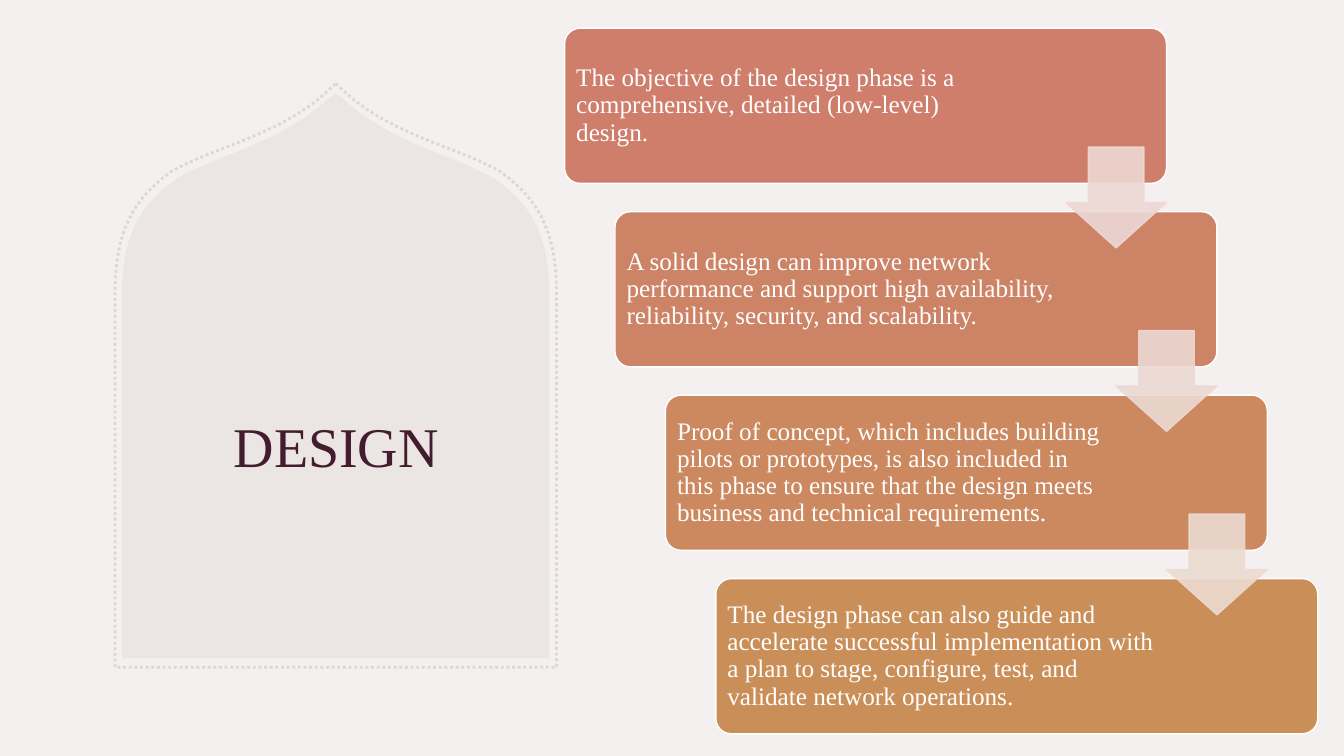
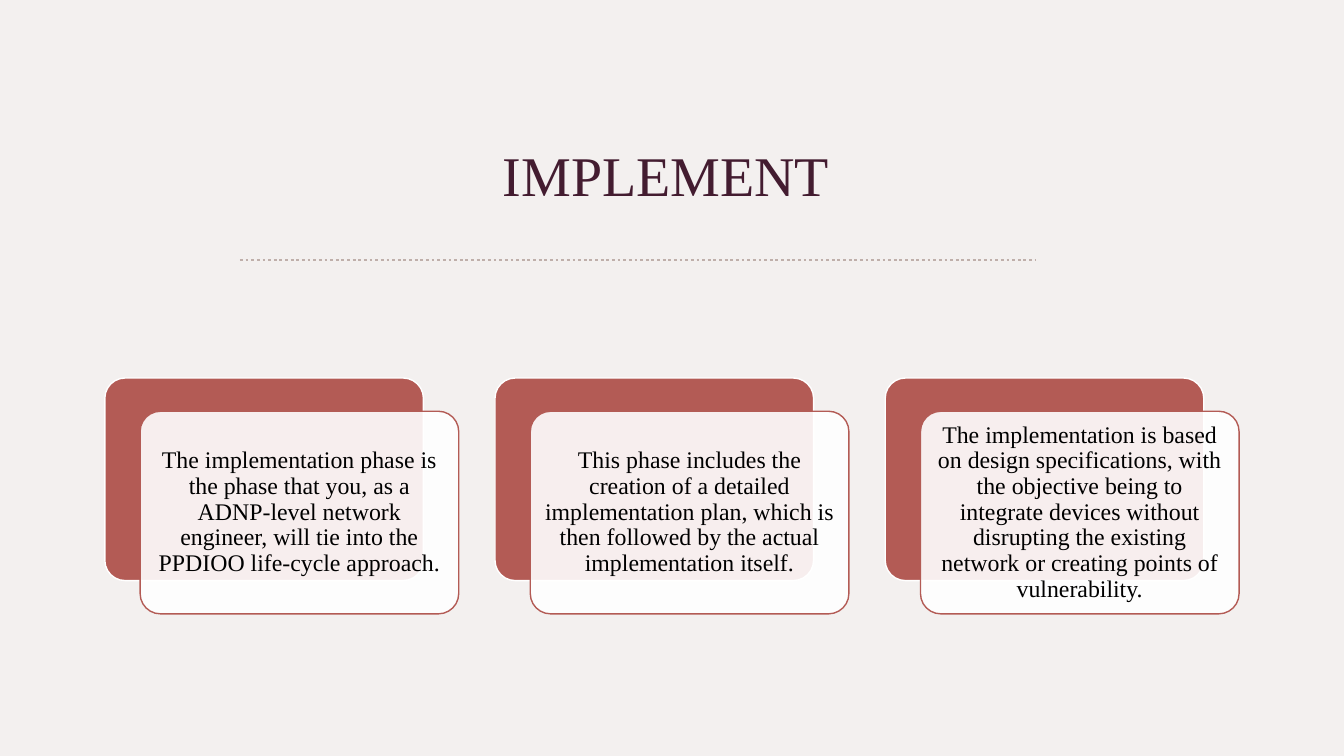
from pptx import Presentation
from pptx.dml.color import RGBColor
from pptx.enum.dml import MSO_LINE
from pptx.enum.shapes import MSO_CONNECTOR, MSO_SHAPE
from pptx.enum.text import MSO_ANCHOR, MSO_AUTO_SIZE, PP_ALIGN
from pptx.oxml.ns import qn
from pptx.util import Inches, Pt
from lxml import etree

ROUND_RECT, DOWN_ARROW = MSO_SHAPE.ROUNDED_RECTANGLE, MSO_SHAPE.DOWN_ARROW
LEFT, CENTER = PP_ALIGN.LEFT, PP_ALIGN.CENTER
DOTTED = MSO_LINE.ROUND_DOT
FONT = "Times New Roman"

COLORS = {
    "background": "F3F0EF",
    "title": "431C30",
    "taupe": "BFAFAA",
    "arch_outline": "DED6D3",
    "brick": "B35B55",
    "white": "FFFFFF",
    "black": "000000",
}

# text, card colour, right inset, colour of the arrow to the next card
DESIGN_STEPS = [
    ("The objective of the design phase is a comprehensive, detailed "
     "(low-level) design.", "CF7E6C", 1.76, "EDD8D4"),
    ("A solid design can improve network performance and support high "
     "availability, reliability, security, and scalability.",
     "CD8365", 1.56, "ECD9D3"),
    ("Proof of concept, which includes building pilots or prototypes, is also "
     "included in this phase to ensure that the design meets business and "
     "technical requirements.", "CC885F", 1.56, "ECDBD1"),
    ("The design phase can also guide and accelerate successful implementation "
     "with a plan to stage, configure, test, and validate network operations.",
     "CA8F58", 1.56, None),
]

IMPLEMENT_POINTS = [
    "The implementation phase is the phase that you, as a ADNP-level network "
    "engineer, will tie into the PPDIOO life-cycle approach.",
    "This phase includes the creation of a detailed implementation plan, which "
    "is then followed by the actual implementation itself.",
    "The implementation is based on design specifications, with the objective "
    "being to integrate devices without disrupting the existing network or "
    "creating points of vulnerability.",
]

# Right half of each arch: x from the axis, y on the slide.
# One point is a straight step, three are a Bezier curve.
ARCH_AXIS = 3.33
ARCH_PANEL = [
    [(0, 0.92)],
    [(0.19, 1.08)],
    [(0.65, 1.44), (1.17, 1.54), (1.57, 1.77)],
    [(1.95, 2.03), (2.12, 2.34), (2.12, 2.95)],
    [(2.12, 6.53)],
]
ARCH_OUTLINE = [
    [(0, 0.83)],
    [(0.19, 1)],
    [(0.68, 1.37), (1.22, 1.47), (1.63, 1.7)],
    [(2.01, 1.98), (2.19, 2.29), (2.19, 2.92)],
    [(2.19, 6.62)],
]


def rgb(color):
    return RGBColor.from_string(COLORS.get(color, color))


def write(sp, text, size=18, color="white", align=LEFT, spacing=0.9):
    tf = sp.text_frame
    tf.word_wrap = True
    tf.auto_size = MSO_AUTO_SIZE.NONE
    tf.vertical_anchor = MSO_ANCHOR.MIDDLE
    p = tf.paragraphs[0]
    p.alignment = align
    p.line_spacing = spacing
    r = p.add_run()
    r.text = text
    r.font.name = FONT
    r.font.size = Pt(size)
    r.font.color.rgb = rgb(color)


def set_insets(sp, right=0.07):
    tf = sp.text_frame
    tf.margin_left = tf.margin_top = tf.margin_bottom = Inches(0.07)
    tf.margin_right = Inches(right)


def paint(sp, fill=None, line=None, width=1, dash=None):
    sp.shadow.inherit = False
    if fill:
        sp.fill.solid()
        sp.fill.fore_color.rgb = rgb(fill)
    else:
        sp.fill.background()
    if line:
        sp.line.color.rgb = rgb(line)
        sp.line.width = Pt(width)
        sp.line.dash_style = dash
    else:
        sp.line.fill.background()


def set_opacity(sp, percent, parts=("a:solidFill",)):
    for part in parts:
        for clr in sp.element.spPr.xpath(f"{part}/a:srgbClr"):
            etree.SubElement(clr, qn("a:alpha")).set("val", str(percent * 1000))


def add_preset(slide, preset, left, top, width, height, adjustments, **paint_args):
    sp = slide.shapes.add_shape(
        preset, Inches(left), Inches(top), Inches(width), Inches(height))
    for i, value in enumerate(adjustments):
        sp.adjustments[i] = value
    paint(sp, **paint_args)
    return sp


def add_titled_slide(prs):
    return prs.slides.add_slide(prs.slide_layouts[5])


def place_title(slide, text, left, top, width, height):
    """Fill the title and bring it in front of what is drawn so far."""
    title = slide.shapes.title
    title.left, title.top = Inches(left), Inches(top)
    title.width, title.height = Inches(width), Inches(height)
    write(title, text, size=40, color="title", align=CENTER, spacing=1)
    title.element.getparent().append(title.element)


def bezier(start, c1, c2, end, steps=24):
    points = []
    for i in range(1, steps + 1):
        t = i / steps
        weights = ((1 - t) ** 3, 3 * t * (1 - t) ** 2, 3 * t * t * (1 - t), t ** 3)
        points.append(tuple(
            sum(w * q[axis] for w, q in zip(weights, (start, c1, c2, end)))
            for axis in (0, 1)))
    return points


def add_arch(slide, half, **paint_args):
    right = []
    for segment in half:
        right += segment if len(segment) == 1 else bezier(right[-1], *segment)
    left = [(-x, y) for x, y in reversed(right[1:])]
    points = [(Inches(ARCH_AXIS + x), Inches(y)) for x, y in right + left]
    builder = slide.shapes.build_freeform(*points[0])
    builder.add_line_segments(points[1:], close=True)
    sp = builder.convert_to_shape()
    paint(sp, **paint_args)
    return sp


def build_design(prs):
    slide = add_titled_slide(prs)
    set_opacity(add_arch(slide, ARCH_PANEL, fill="taupe"), 15)
    add_arch(slide, ARCH_OUTLINE, line="arch_outline", width=2, dash=DOTTED)
    place_title(slide, "DESIGN", 1.27, 2.3, 4.13, 4.23)

    width, height, arrow_size = 5.97, 1.54, 1
    corners = [(5.6 + 0.5 * i, 0.28 + 1.82 * i) for i in range(len(DESIGN_STEPS))]
    for (left, top), (text, color, inset, _) in zip(corners, DESIGN_STEPS):
        card = add_preset(slide, ROUND_RECT, left, top, width, height, [0.1],
                          fill=color, line="white")
        set_insets(card, right=inset)
        write(card, text)
    for (left, top), (*_, color) in zip(corners, DESIGN_STEPS):
        if color:
            arrow = add_preset(slide, DOWN_ARROW, left + width - arrow_size,
                               top + 1.18, arrow_size, arrow_size, [0.55, 0.45],
                               fill=color, line=color)
            set_opacity(arrow, 90, ("a:solidFill", "a:ln/a:solidFill"))


def build_implement(prs):
    slide = add_titled_slide(prs)
    place_title(slide, "IMPLEMENT", 0.98, 1.03, 11.25, 1.4)
    rule = slide.shapes.add_connector(
        MSO_CONNECTOR.STRAIGHT, Inches(2.38), Inches(2.58), Inches(10.27), Inches(2.58))
    rule.line.color.rgb = rgb("taupe")
    rule.line.width = Pt(2)
    rule.line.dash_style = DOTTED
    etree.SubElement(rule.element.spPr, qn("a:effectLst"))

    top, width, height = 3.75, 3.16, 2.01
    for i, text in enumerate(IMPLEMENT_POINTS):
        left = 1.04 + 3.87 * i
        add_preset(slide, ROUND_RECT, left, top, width, height, [0.1],
                   fill="brick", line="white")
        card = add_preset(slide, ROUND_RECT, left + 0.35, top + 0.33, width, height,
                          [0.1], fill="white", line="brick")
        set_opacity(card, 90)
        set_insets(card)
        write(card, text, size=17, color="black", align=CENTER)


def main():
    prs = Presentation()
    prs.slide_width, prs.slide_height = Inches(13.33), Inches(7.5)
    background = prs.slide_master.background.fill
    background.solid()
    background.fore_color.rgb = rgb("background")
    build_design(prs)
    build_implement(prs)
    prs.save("out.pptx")


if __name__ == "__main__":
    main()
